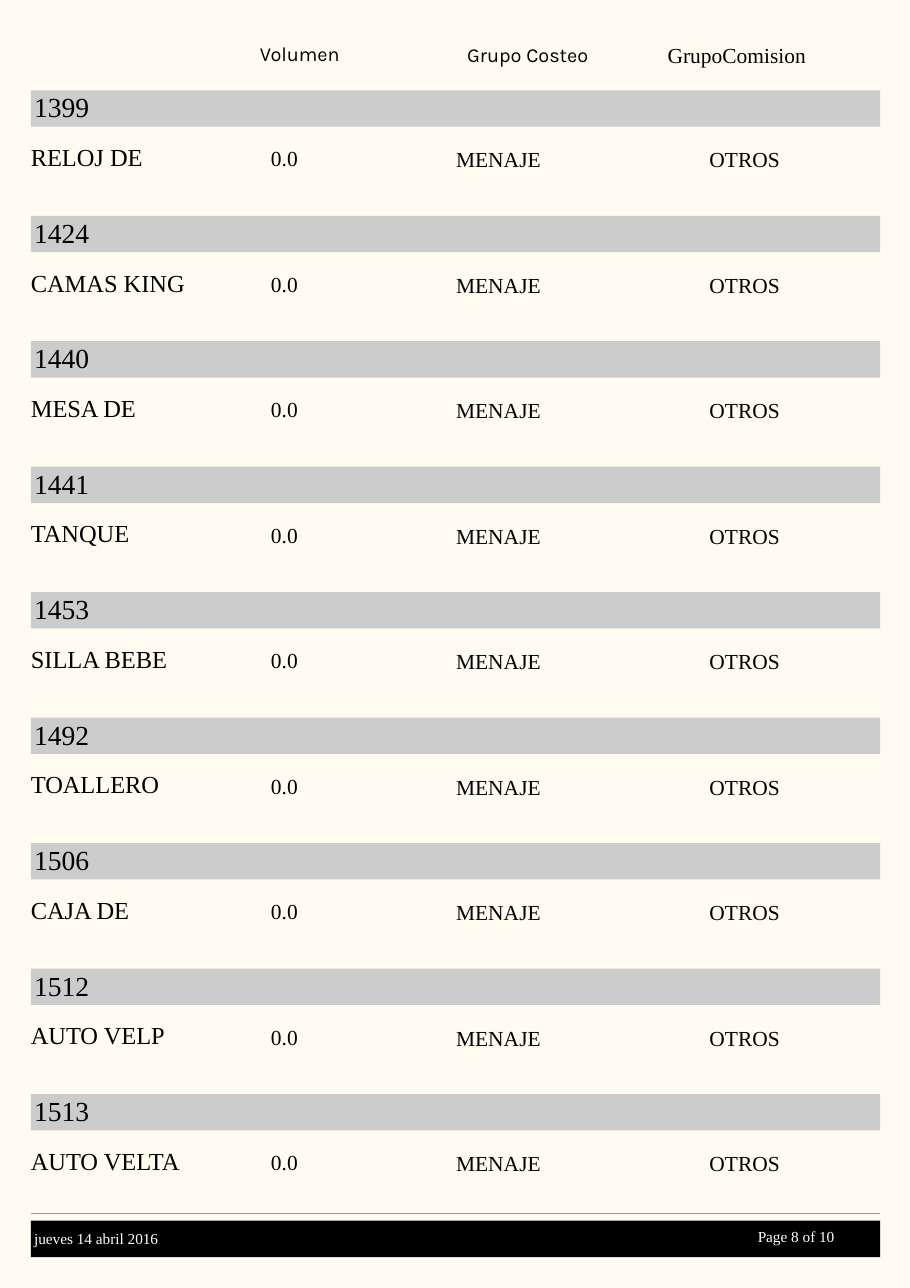
"""Builds one page of a household goods listing."""
from pptx import Presentation
from pptx.dml.color import RGBColor
from pptx.enum.shapes import MSO_CONNECTOR, MSO_SHAPE
from pptx.enum.text import MSO_ANCHOR, PP_ALIGN
from pptx.oxml.ns import qn
from pptx.util import Inches, Pt
from lxml.etree import SubElement

COLORS = {"page": "FFFBF0", "band": "CCCCCC", "rule": "999999",
          "footer": "000000", "ink": "000000", "reverse": "FFFFFF"}
PAGE_WIDTH, PAGE_HEIGHT = 8.26, 11.69
MARGIN, BAND_WIDTH, BAND_HEIGHT = 0.28, 7.71, 0.33
CODE_LEFT = 0.31
FIRST_ROW, LAST_ROW = 0.82, 9.93
RULE_TOP, FOOTER_TOP = 11.01, 11.08
HEADINGS = [
    ("Grupo Costeo", 4.24, 0.39, 1.39, 0.28, 13, "Karla"),
    ("GrupoComision", 6.06, 0.38, 1.54, 0.25, 14, "Times New Roman"),
    ("Volumen", 2.36, 0.38, 1.39, 0.28, 13, "Karla"),
]
VALUES = [("MENAJE", 4.14, 0.51), ("OTROS", 6.44, 0.51), ("0.0", 2.46, 0.5)]
ITEMS = [
    ("1399", "RELOJ DE"), ("1424", "CAMAS KING"), ("1440", "MESA DE"),
    ("1441", "TANQUE"), ("1453", "SILLA BEBE"), ("1492", "TOALLERO"),
    ("1506", "CAJA DE"), ("1512", "AUTO VELP"), ("1513", "AUTO VELTA"),
]


def add_text(slide, text, left, top, width, height, *, size=14,
             font="Times New Roman", color="ink", align=PP_ALIGN.LEFT,
             anchor=MSO_ANCHOR.TOP):
    """Place a line of text in a box without margins."""
    box = slide.shapes.add_textbox(*map(Inches, (left, top, width, height)))
    frame = box.text_frame
    frame.word_wrap = True
    frame.vertical_anchor = anchor
    frame.margin_left = frame.margin_right = 0
    frame.margin_top = frame.margin_bottom = 0
    paragraph = frame.paragraphs[0]
    paragraph.alignment = align
    run = paragraph.add_run()
    run.text = text
    run.font.size = Pt(size)
    run.font.name = font
    run.font.color.rgb = RGBColor.from_string(COLORS[color])


def add_band(slide, top, color):
    """Draw a filled band between the side margins."""
    band = slide.shapes.add_shape(
        MSO_SHAPE.RECTANGLE,
        *map(Inches, (MARGIN, top, BAND_WIDTH, BAND_HEIGHT)))
    band.shadow.inherit = False
    band.fill.solid()
    band.fill.fore_color.rgb = RGBColor.from_string(COLORS[color])
    band.line.fill.background()


def add_rule(slide, top):
    """Draw a thin line between the side margins."""
    ends = (MARGIN, top, MARGIN + BAND_WIDTH, top)
    rule = slide.shapes.add_connector(MSO_CONNECTOR.STRAIGHT,
                                      *map(Inches, ends))
    rule.line.color.rgb = RGBColor.from_string(COLORS["rule"])
    rule.line.width = Pt(0.5)
    SubElement(rule.element.spPr, qn("a:effectLst"))


def add_item(slide, code, description, top):
    """Place one item: its code on a band and its values below."""
    add_band(slide, top, "band")
    add_text(slide, code, CODE_LEFT, top, 6.65, BAND_HEIGHT, size=18)
    add_text(slide, description, MARGIN, top + 0.47, 1.85, 0.36, size=16)
    for value, left, drop in VALUES:
        add_text(slide, value, left, top + drop, 1.54, 0.25)


def add_footer(slide):
    """Place the closing rule, the date and the page number."""
    add_rule(slide, RULE_TOP)
    add_band(slide, FOOTER_TOP, "footer")
    small = {"size": 10, "color": "reverse", "anchor": MSO_ANCHOR.MIDDLE}
    add_text(slide, " 10", 7.4, FOOTER_TOP, 0.56, 0.28, **small)
    add_text(slide, "Page 8 of", 6.29, FOOTER_TOP, 1.11, 0.28,
             align=PP_ALIGN.RIGHT, **small)
    add_text(slide, "jueves 14 abril 2016", CODE_LEFT, FOOTER_TOP + 0.02,
             2.74, 0.28, **small)


def main():
    """Build the listing page and save it."""
    presentation = Presentation()
    presentation.slide_width = Inches(PAGE_WIDTH)
    presentation.slide_height = Inches(PAGE_HEIGHT)
    slide = presentation.slides.add_slide(presentation.slide_layouts[6])
    slide.background.fill.solid()
    slide.background.fill.fore_color.rgb = RGBColor.from_string(COLORS["page"])
    for heading, left, top, width, height, size, font in HEADINGS:
        add_text(slide, heading, left, top, width, height, size=size, font=font)
    row_pitch = (LAST_ROW - FIRST_ROW) / (len(ITEMS) - 1)
    for row, (code, description) in enumerate(ITEMS):
        add_item(slide, code, description, FIRST_ROW + row * row_pitch)
    add_footer(slide)
    presentation.save("out.pptx")


if __name__ == "__main__":
    main()
